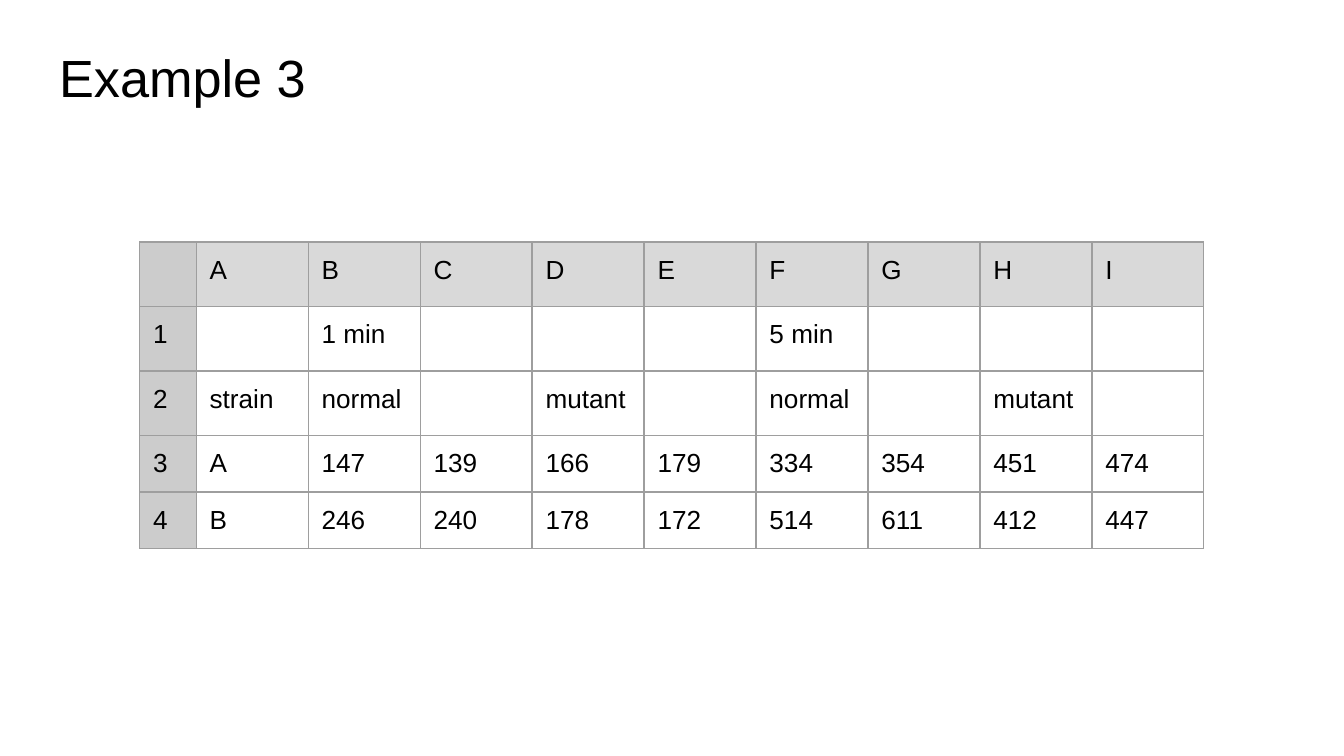
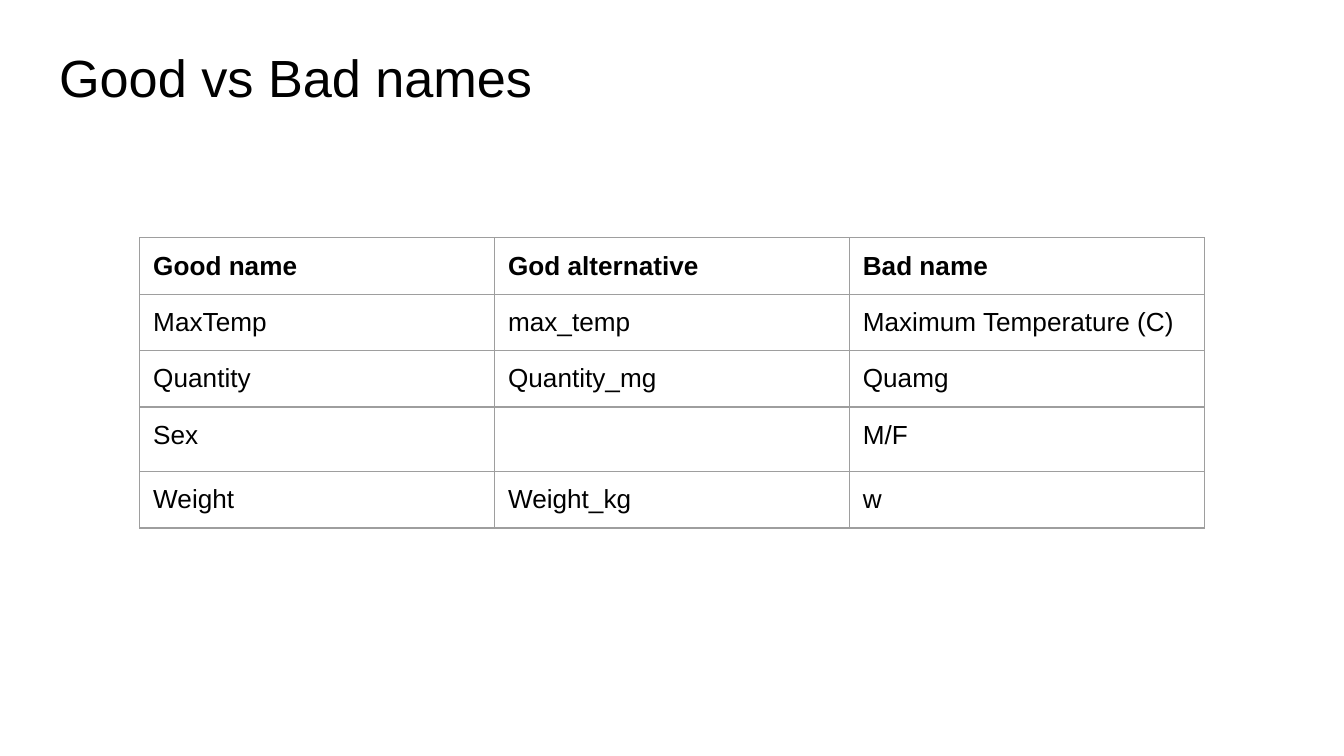
"""Build two slides that show data tables under a plain title."""
from lxml import etree
from pptx import Presentation
from pptx.dml.color import RGBColor
from pptx.enum import text
from pptx.oxml import ns
from pptx.util import Inches, Pt

FONT = "Arial"
BLACK, WHITE, BORDER = "000000", "FFFFFF", "9E9E9E"
HEADER_FILL, INDEX_FILL = "D9D9D9", "CCCCCC"
INSET = Inches(0.1)
TABLE_LEFT, ROW_HEIGHT = 1.04, 0.42

SHEET = [
    ["", *"ABCDEFGHI"],
    ["1", "", "1 min", "", "", "", "5 min", "", "", ""],
    ["2", "strain", "normal", "", "mutant", "", "normal", "", "mutant", ""],
    ["3", "A", "147", "139", "166", "179", "334", "354", "451", "474"],
    ["4", "B", "246", "240", "178", "172", "514", "611", "412", "447"],
]
NAMES = [
    ["Good name", "God alternative", "Bad name"],
    ["MaxTemp", "max_temp", "Maximum Temperature (C)"],
    ["Quantity", "Quantity_mg", "Quamg"],
    ["Sex", "", "M/F"],
    ["Weight", "Weight_kg", "w"],
]


def rgb(value):
    return RGBColor.from_string(value)


def style_paragraph(p, size, bold=False):
    p.alignment = text.PP_ALIGN.LEFT
    p.font.name = FONT
    p.font.size = Pt(size)
    p.font.bold = bold
    p.font.color.rgb = rgb(BLACK)


def style_empty(p, size):
    end = etree.SubElement(p._p, ns.qn("a:endParaRPr"), sz=str(size * 100))
    etree.SubElement(end, ns.qn("a:latin"), typeface=FONT)


def add_slide(prs, title):
    s = prs.slides.add_slide(prs.slide_layouts[5])
    s.background.fill.solid()
    s.background.fill.fore_color.rgb = rgb(WHITE)
    sp = s.shapes.title
    sp.left, sp.top = Inches(0.34), Inches(0.24)
    sp.width, sp.height = Inches(9.32), Inches(0.63)
    tf = sp.text_frame
    tf.text = title
    tf.auto_size = text.MSO_AUTO_SIZE.NONE
    tf.vertical_anchor = text.MSO_ANCHOR.TOP
    tf.margin_left = tf.margin_right = tf.margin_top = tf.margin_bottom = INSET
    style_paragraph(tf.paragraphs[0], 28)
    return s


def add_borders(cell):
    tc_pr = cell._tc.get_or_add_tcPr()
    for side in "LRTB":
        ln = etree.SubElement(tc_pr, ns.qn(f"a:ln{side}"), w=str(Pt(0.75)))
        fill = etree.SubElement(ln, ns.qn("a:solidFill"))
        etree.SubElement(fill, ns.qn("a:srgbClr"), val=BORDER)


def fill_cell(cell, value, fill, bold):
    cell.margin_left = cell.margin_right = INSET
    cell.margin_top = cell.margin_bottom = INSET
    add_borders(cell)
    if fill:
        cell.fill.solid()
        cell.fill.fore_color.rgb = rgb(fill)
    else:
        cell.fill.background()
    p = cell.text_frame.paragraphs[0]
    if value:
        p.text = value
        style_paragraph(p, 14, bold)
    else:
        style_empty(p, 18)


def sheet_fill(row, col):
    if col == 0:
        return INDEX_FILL
    return HEADER_FILL if row == 0 else None


def add_table(s, top, widths, rows, fill_at=None, bold_header=False):
    frame = s.shapes.add_table(
        len(rows), len(widths), Inches(TABLE_LEFT), Inches(top),
        Inches(sum(widths)), Inches(ROW_HEIGHT * len(rows)))
    table = frame.table
    table.first_row = table.horz_banding = False
    for column, width in zip(table.columns, widths):
        column.width = Inches(width)
    for r, values in enumerate(rows):
        table.rows[r].height = Inches(ROW_HEIGHT)
        for c, value in enumerate(values):
            fill = fill_at(r, c) if fill_at else None
            fill_cell(table.cell(r, c), value, fill, bold_header and r == 0)


def main():
    prs = Presentation()
    prs.slide_width = Inches(10)
    prs.slide_height = prs.slide_width * 9 // 16

    s = add_slide(prs, "Example 3")
    add_table(s, 1.8, [0.42] + [7.5 / 9] * 9, SHEET, fill_at=sheet_fill)

    s = add_slide(prs, "Good vs Bad names")
    add_table(s, 1.77, [2.64] * 3, NAMES, bold_header=True)

    prs.save("out.pptx")


if __name__ == "__main__":
    main()
